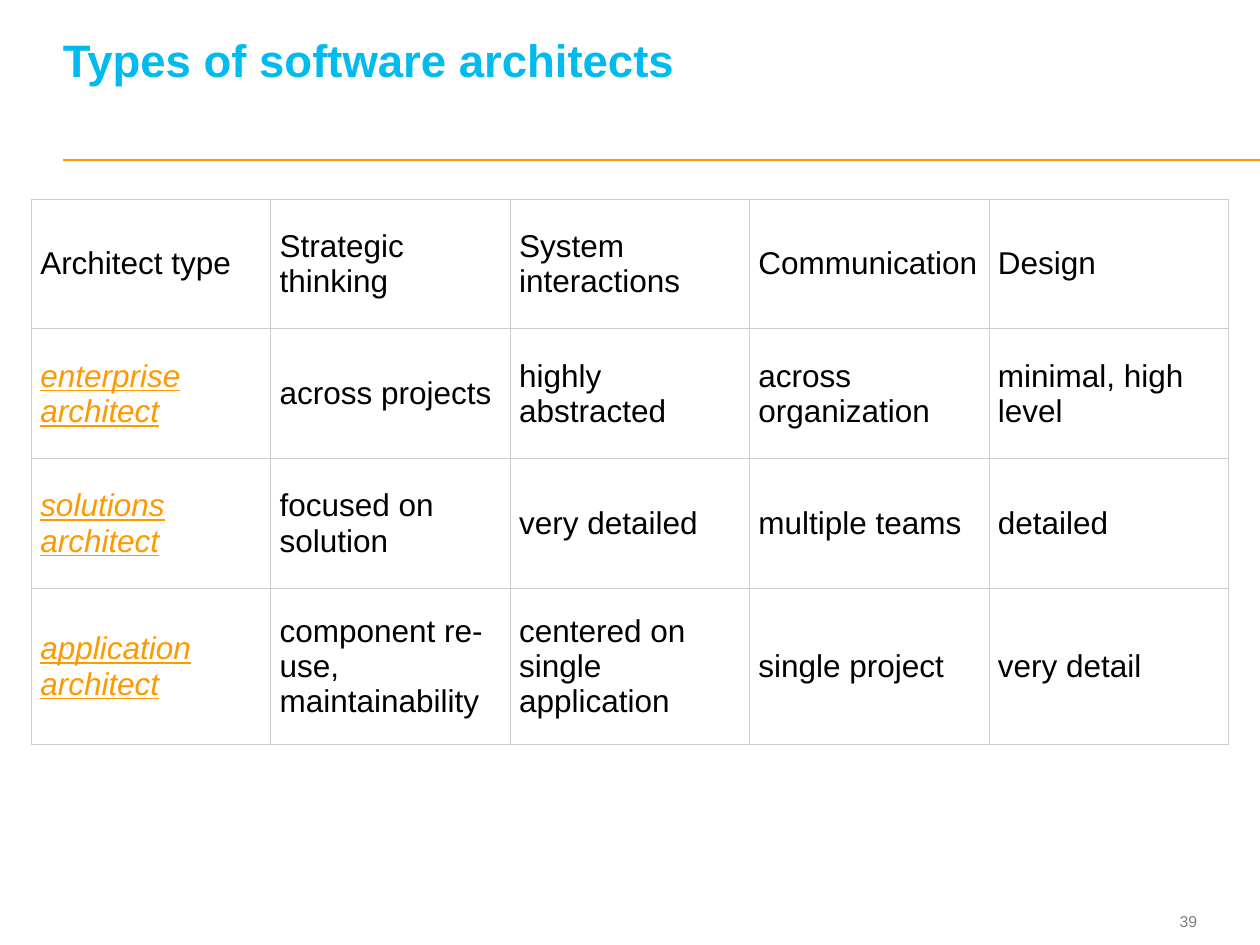
from lxml import etree
from pptx import Presentation
from pptx.dml.color import RGBColor
from pptx.enum.shapes import MSO_CONNECTOR
from pptx.enum.text import MSO_ANCHOR, PP_ALIGN
from pptx.oxml.ns import qn
from pptx.util import Inches, Pt

STRAIGHT = MSO_CONNECTOR.STRAIGHT
MIDDLE, BOTTOM = MSO_ANCHOR.MIDDLE, MSO_ANCHOR.BOTTOM
LEFT, RIGHT = PP_ALIGN.LEFT, PP_ALIGN.RIGHT
CYAN, ORANGE, BLACK, GRAY = "00BBEE", "FF9900", "000000", "7F7F7F"
WHITE, BORDER = "FFFFFF", "CCCCCC"
COLUMN_WIDTH = 1.9
ROW_HEIGHTS = [1.03, 1.03, 1.03, 1.24]
ARCHITECTS = [
    ["Architect type", "Strategic thinking", "System interactions", "Communication", "Design"],
    ["enterprise architect", "across projects", "highly abstracted", "across organization",
     "minimal, high level"],
    ["solutions architect", "focused on solution", "very detailed", "multiple teams", "detailed"],
    ["application architect", "component re-use, maintainability",
     "centered on single application", "single project", "very detail"],
]


def color(value):
    return RGBColor.from_string(value)


class SlideBuilder:
    """Holds the type style and the slide being built."""

    def __init__(self, slide, font="Arial"):
        self.slide = slide
        self.font = font

    def style(self, paragraph, size, ink, bold=False, link=False):
        font = paragraph.font
        font.name, font.size, font.bold = self.font, Pt(size), bold
        font.italic = font.underline = link
        font.color.rgb = color(ink)

    def text(self, words, left, top, width, height, size, ink,
             anchor=MIDDLE, align=LEFT, bold=False, bottom=0):
        box = self.slide.shapes.add_textbox(
            Inches(left), Inches(top), Inches(width), Inches(height))
        frame = box.text_frame
        frame.word_wrap = True
        frame.vertical_anchor = anchor
        frame.margin_left = frame.margin_right = frame.margin_top = 0
        frame.margin_bottom = Inches(bottom)
        para = frame.paragraphs[0]
        para.text = words
        para.alignment = align
        self.style(para, size, ink, bold)
        return para

    def rule(self, left, right, top, ink):
        line = self.slide.shapes.add_connector(
            STRAIGHT, Inches(left), Inches(top), Inches(right), Inches(top))
        line.line.color.rgb = color(ink)
        line.line.width = Pt(1)
        etree.SubElement(line._element.spPr, qn("a:effectLst"))

    def border(self, cell):
        properties = cell._tc.get_or_add_tcPr()
        for side in ("lnL", "lnR", "lnT", "lnB"):
            edge = etree.SubElement(properties, qn(f"a:{side}"), w=str(Pt(0.6)))
            fill = etree.SubElement(edge, qn("a:solidFill"))
            etree.SubElement(fill, qn("a:srgbClr"), val=BORDER)

    def cell(self, cell, words, link):
        self.border(cell)
        cell.fill.solid()
        cell.fill.fore_color.rgb = color(WHITE)
        cell.vertical_anchor = MIDDLE
        cell.margin_left = cell.margin_right = Inches(0.07)
        cell.margin_top = cell.margin_bottom = Inches(0.1)
        cell.text = words
        self.style(cell.text_frame.paragraphs[0], 18, ORANGE if link else BLACK, link=link)

    def table(self, rows, left, top, column_width, heights):
        count = len(rows[0])
        table = self.slide.shapes.add_table(
            len(rows), count, Inches(left), Inches(top),
            Inches(column_width * count), Inches(sum(heights))).table
        table.first_row = table.horz_banding = False
        for column in table.columns:
            column.width = Inches(column_width)
        for row_index, (row, height) in enumerate(zip(rows, heights)):
            table.rows[row_index].height = Inches(height)
            for column_index, words in enumerate(row):
                self.cell(table.cell(row_index, column_index), words,
                          link=row_index > 0 and column_index == 0)


def main():
    deck = Presentation()
    deck.slide_width, deck.slide_height = Inches(10), Inches(7.5)
    page = SlideBuilder(deck.slides.add_slide(deck.slide_layouts[6]))
    page.rule(0.5, 10, 1.27, ORANGE)
    page.text("39", 8.91, 7.18, 0.59, 0.27, 9, GRAY, align=RIGHT)
    title = page.text("Types of software architects", 0.5, 0.19, 8.97, 0.86, 26, CYAN,
                      anchor=BOTTOM, bold=True, bottom=0.36)
    title.line_spacing = Pt(26)
    page.table(ARCHITECTS, 0.25, 1.58, COLUMN_WIDTH, ROW_HEIGHTS)
    deck.save("out.pptx")


if __name__ == "__main__":
    main()
